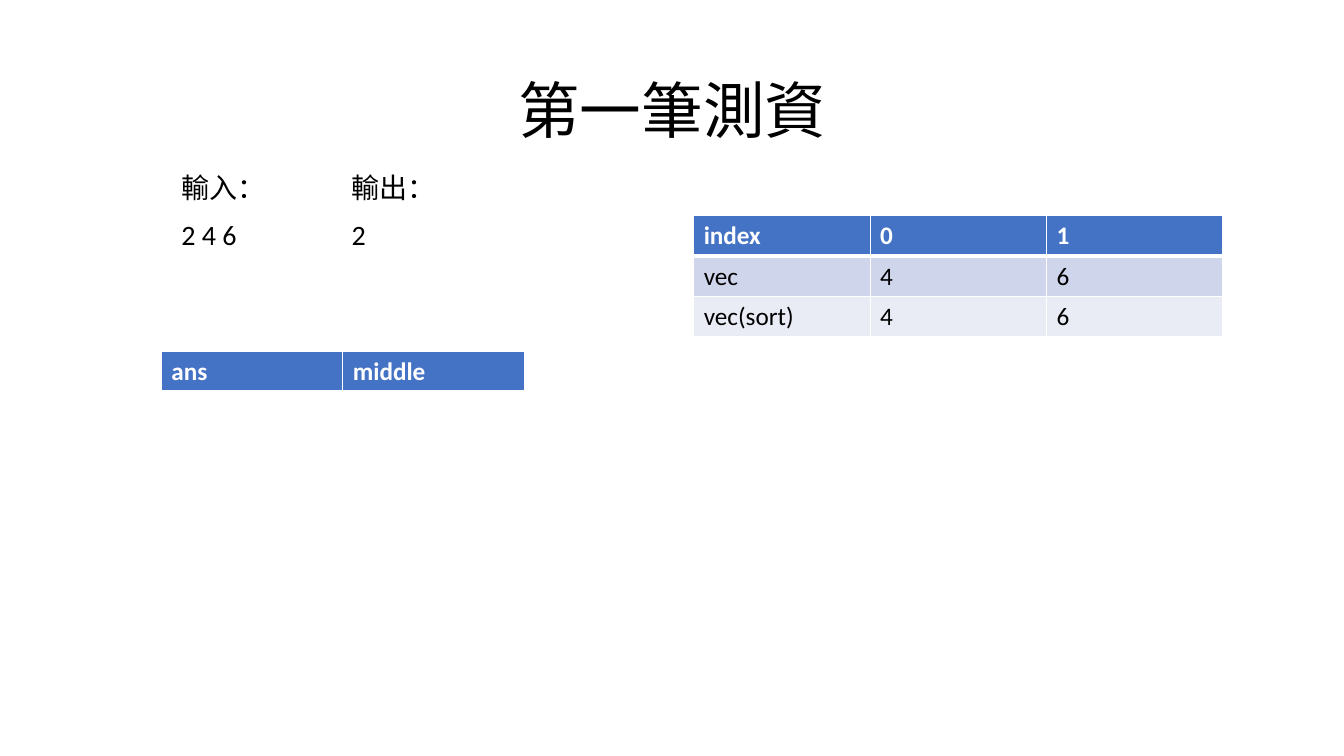
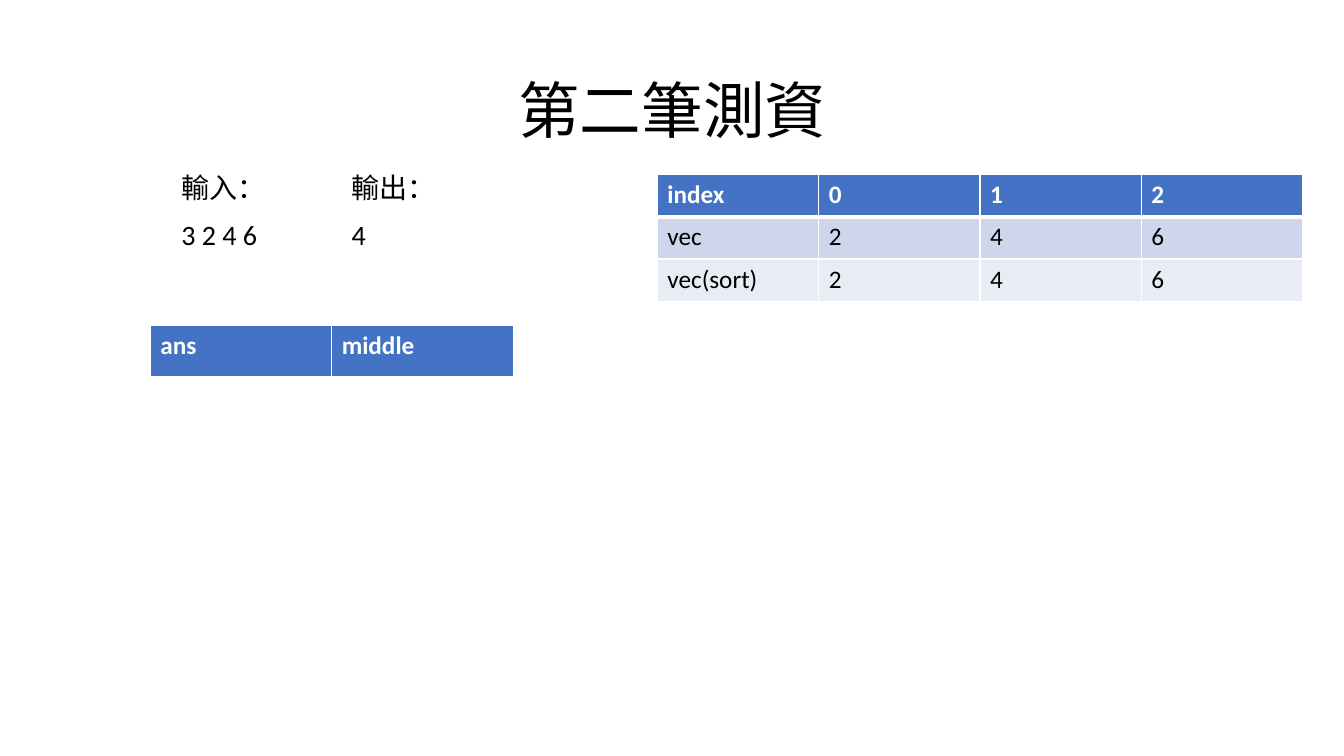
from lxml.etree import SubElement
from pptx import Presentation
from pptx.dml.color import RGBColor
from pptx.enum.text import MSO_ANCHOR, PP_ALIGN
from pptx.oxml.ns import qn
from pptx.util import Inches, Pt

WHITE, BLACK = "FFFFFF", "000000"
HEADER_FILL = "4472C4"
BODY_FILLS = ("CFD5EA", "E9EBF5")
BODY_FONT, LABEL_FONT = "Calibri", "Arial"

SAMPLE_LEFT, SAMPLE_TOP, SAMPLE_WIDTH = 1.7, 1.64, 1.69
RESULT_COLUMN = 1.8


def color(hex_string):
    return RGBColor.from_string(hex_string)


def format_runs(paragraph, size, font_name=BODY_FONT, hex_color=BLACK, bold=False):
    for run in paragraph.runs:
        run.font.size = Pt(size)
        run.font.name = font_name
        run.font.color.rgb = color(hex_color)
        run.font.bold = bold


def add_text_frame(slide, left, top, width, height):
    shape = slide.shapes.add_textbox(*map(Inches, (left, top, width, height)))
    shape.text_frame.word_wrap = True
    return shape.text_frame


def add_title(slide, text):
    text_frame = add_text_frame(slide, 0.92, 0.4, 11.5, 1.45)
    text_frame.vertical_anchor = MSO_ANCHOR.MIDDLE
    text_frame.text = text
    paragraph = text_frame.paragraphs[0]
    paragraph.alignment = PP_ALIGN.CENTER
    paragraph.line_spacing = 0.9
    format_runs(paragraph, 44)


def add_sample(slide, column, label, value):
    """Place a label with its value below it in one of the sample columns."""
    left = SAMPLE_LEFT + column * SAMPLE_WIDTH
    text_frame = add_text_frame(slide, left, SAMPLE_TOP, SAMPLE_WIDTH, 0.91)
    text_frame.text = f"{label}\n{value}"
    for paragraph, font_name in zip(text_frame.paragraphs, (LABEL_FONT, BODY_FONT)):
        paragraph.space_before = Pt(10)
        format_runs(paragraph, 20, font_name)


def set_borders(cell, bottom_width):
    properties = cell._tc.get_or_add_tcPr()
    for side, width in (("L", 1), ("R", 1), ("T", 1), ("B", bottom_width)):
        line = SubElement(properties, qn(f"a:ln{side}"), w=str(Pt(width)))
        fill = SubElement(line, qn("a:solidFill"))
        SubElement(fill, qn("a:srgbClr"), val=WHITE)


def format_cell(cell, text, row_index):
    is_header = row_index == 0
    set_borders(cell, 3 if is_header else 1)
    cell.fill.solid()
    body_fill = BODY_FILLS[(row_index - 1) % len(BODY_FILLS)]
    cell.fill.fore_color.rgb = color(HEADER_FILL if is_header else body_fill)
    cell.text = text
    format_runs(cell.text_frame.paragraphs[0], 18,
                hex_color=WHITE if is_header else BLACK, bold=is_header)


def add_grid(slide, left, top, column_width, row_height, rows):
    row_count, column_count = len(rows), len(rows[0])
    table = slide.shapes.add_table(
        row_count, column_count, Inches(left), Inches(top),
        Inches(column_width * column_count), Inches(row_height * row_count)).table
    for row_index, row in enumerate(rows):
        for column_index, text in enumerate(row):
            format_cell(table.cell(row_index, column_index), text, row_index)


def add_test_case(presentation, title, numbers, answer, vector, vector_box, result_box):
    """Add a slide; each box holds left, top and the cell size of its table."""
    slide = presentation.slides.add_slide(presentation.slide_layouts[6])
    add_title(slide, title)
    add_sample(slide, 0, "輸入：", numbers)
    add_sample(slide, 1, "輸出：", answer)
    indexes = [str(index) for index in range(len(vector))]
    add_grid(slide, *vector_box, [["index", *indexes],
                                  ["vec", *vector],
                                  ["vec(sort)", *sorted(vector, key=int)]])
    add_grid(slide, *result_box, [["ans", "middle"]])


def main():
    presentation = Presentation()
    presentation.slide_width = Inches(13.33)
    presentation.slide_height = Inches(7.5)
    add_test_case(presentation, "第一筆測資", "2 4 6", "2", ["4", "6"],
                  (6.88, 2.14, 1.75, 0.4), (1.6, 3.49, RESULT_COLUMN, 0.4))
    add_test_case(presentation, "第二筆測資", "3 2 4 6", "4", ["2", "4", "6"],
                  (6.52, 1.73, 1.6, 0.42), (1.49, 3.23, RESULT_COLUMN, 0.52))
    presentation.save("out.pptx")


if __name__ == "__main__":
    main()
